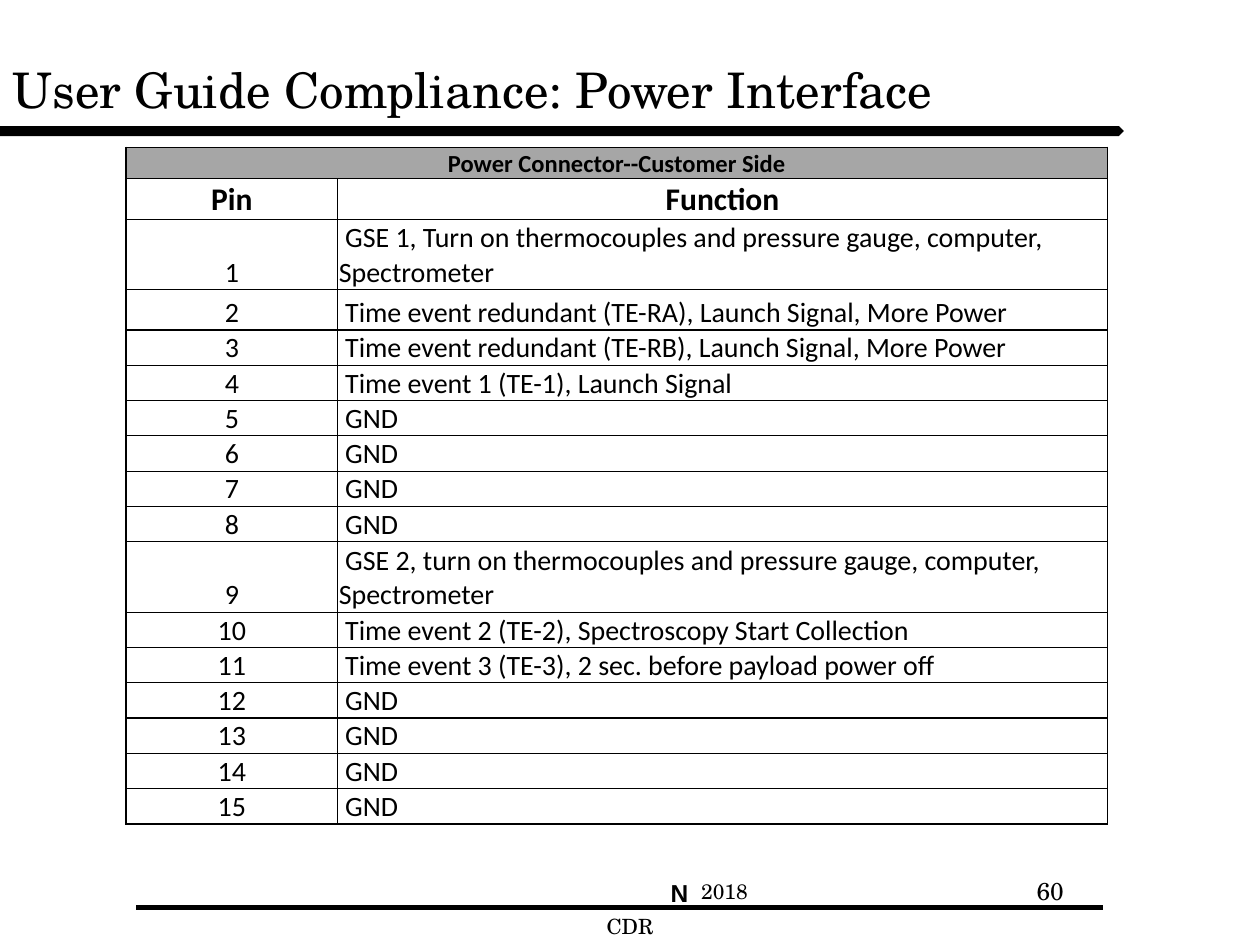
"""Build the power interface compliance slide with its connector pin table."""
from lxml.etree import SubElement
from pptx import Presentation
from pptx.dml.color import RGBColor
from pptx.enum.shapes import MSO_CONNECTOR, MSO_SHAPE
from pptx.enum.text import MSO_ANCHOR, MSO_AUTO_SIZE, PP_ALIGN
from pptx.oxml.ns import qn
from pptx.util import Inches, Pt

COLORS = {"black": "000000", "header": "A6A6A6"}
BLACK = RGBColor.from_string(COLORS["black"])
SERIF = "TeX Gyre Schola"
PIN_FUNCTIONS = [
    "GSE 1, Turn on thermocouples and pressure gauge, computer, Spectrometer",
    "Time event redundant (TE-RA), Launch Signal, More Power",
    "Time event redundant (TE-RB), Launch Signal, More Power",
    "Time event 1 (TE-1), Launch Signal",
    *["GND"] * 4,
    "GSE 2, turn on thermocouples and pressure gauge, computer, Spectrometer",
    "Time event 2 (TE-2), Spectroscopy Start Collection",
    "Time event 3 (TE-3), 2 sec. before payload power off",
    *["GND"] * 4,
]


def write(text_frame, text, size, font_name, alignment=PP_ALIGN.CENTER, bold=False):
    text_frame.text = text
    text_frame.word_wrap = True
    paragraph = text_frame.paragraphs[0]
    paragraph.alignment = alignment
    font = paragraph.runs[0].font
    font.name, font.size, font.bold = font_name, Pt(size), bold
    font.color.rgb = BLACK


def add_borders(cell, widths):
    properties = cell._tc.get_or_add_tcPr()
    for position, (side, width) in enumerate(widths.items()):
        line = properties.makeelement(qn(f"a:{side}"), {"w": str(Pt(width))})
        fill = SubElement(line, qn("a:solidFill"))
        SubElement(fill, qn("a:srgbClr"), val=COLORS["black"])
        properties.insert(position, line)


presentation = Presentation()
presentation.slide_width = Inches(10)
presentation.slide_height = Inches(7.5)
slide = presentation.slides.add_slide(presentation.slide_layouts[5])

title = slide.shapes.title
title.left, title.top = Inches(0), Inches(0.08)
title.width, title.height = Inches(9), Inches(1.25)
write(title.text_frame, "User Guide Compliance: Power Interface", 28, SERIF, PP_ALIGN.LEFT)
title.text_frame.vertical_anchor = MSO_ANCHOR.MIDDLE
title.text_frame.auto_size = MSO_AUTO_SIZE.NONE

title_bar = slide.shapes.add_shape(
    MSO_SHAPE.PENTAGON, Inches(0), Inches(1), Inches(8.92), Inches(0.08)
)
title_bar.shadow.inherit = False
title_bar.fill.solid()
title_bar.fill.fore_color.rgb = BLACK
title_bar.line.fill.background()

footer_line = slide.shapes.add_connector(
    MSO_CONNECTOR.STRAIGHT, Inches(1.08), Inches(7.2), Inches(8.75), Inches(7.2)
)
footer_line.line.color.rgb = BLACK
footer_line.line.width = Pt(3)
SubElement(footer_line._element.spPr, qn("a:effectLst"))

for text, left, top, width, height, size, font_name, bold in [
    ("2018", 4.25, 6.92, 3, 0.3, 12, SERIF, False),
    ("CDR", 3.5, 7.2, 3, 0.3, 12, SERIF, False),
    ("N ", 3.92, 6.92, 3, 0.34, 14, "Arial", True),
    ("60", 7.17, 6.9, 2.33, 0.52, 14, SERIF, False),
]:
    footer = slide.shapes.add_textbox(Inches(left), Inches(top), Inches(width), Inches(height))
    write(footer.text_frame, text, size, font_name, bold=bold)

rows = [("Power Connector--Customer Side", ""), ("Pin", "Function")]
rows += [(str(pin), f" {function}") for pin, function in enumerate(PIN_FUNCTIONS, 1)]
row_heights = {0: 0.25, 1: 0.32, 2: 0.56, 3: 0.32, 10: 0.56}

table = slide.shapes.add_table(
    len(rows), 2, Inches(1), Inches(1.17), Inches(7.79), Inches(5.39)
).table
table.first_row = table.horz_banding = False
table.columns[0].width = Inches(1.68)
table.columns[1].width = Inches(6.11)
table.cell(0, 0).merge(table.cell(0, 1))

for row_index, row in enumerate(rows):
    table.rows[row_index].height = Inches(row_heights.get(row_index, 0.28))
    for column_index, text in enumerate(row):
        cell = table.cell(row_index, column_index)
        cell.margin_left = cell.margin_top = cell.margin_right = Inches(0.01)
        cell.margin_bottom = 0
        cell.vertical_anchor = MSO_ANCHOR.BOTTOM
        if row_index == 0:
            cell.fill.solid()
            cell.fill.fore_color.rgb = RGBColor.from_string(COLORS["header"])
        else:
            cell.fill.background()
        add_borders(cell, {
            "lnL": 1 if column_index == 0 else 0.75,
            "lnR": 1 if column_index == 1 or row_index == 0 else 0.75,
            "lnT": 1 if row_index == 0 else 0.75,
            "lnB": 1 if row_index == len(rows) - 1 else 0.75,
        })
        if text:
            size = {0: 14, 1: 18}.get(row_index, 16)
            is_function = column_index == 1 and row_index > 1
            alignment = PP_ALIGN.LEFT if is_function else PP_ALIGN.CENTER
            write(cell.text_frame, text, size, "Calibri", alignment, row_index < 2)

presentation.save("out.pptx")
